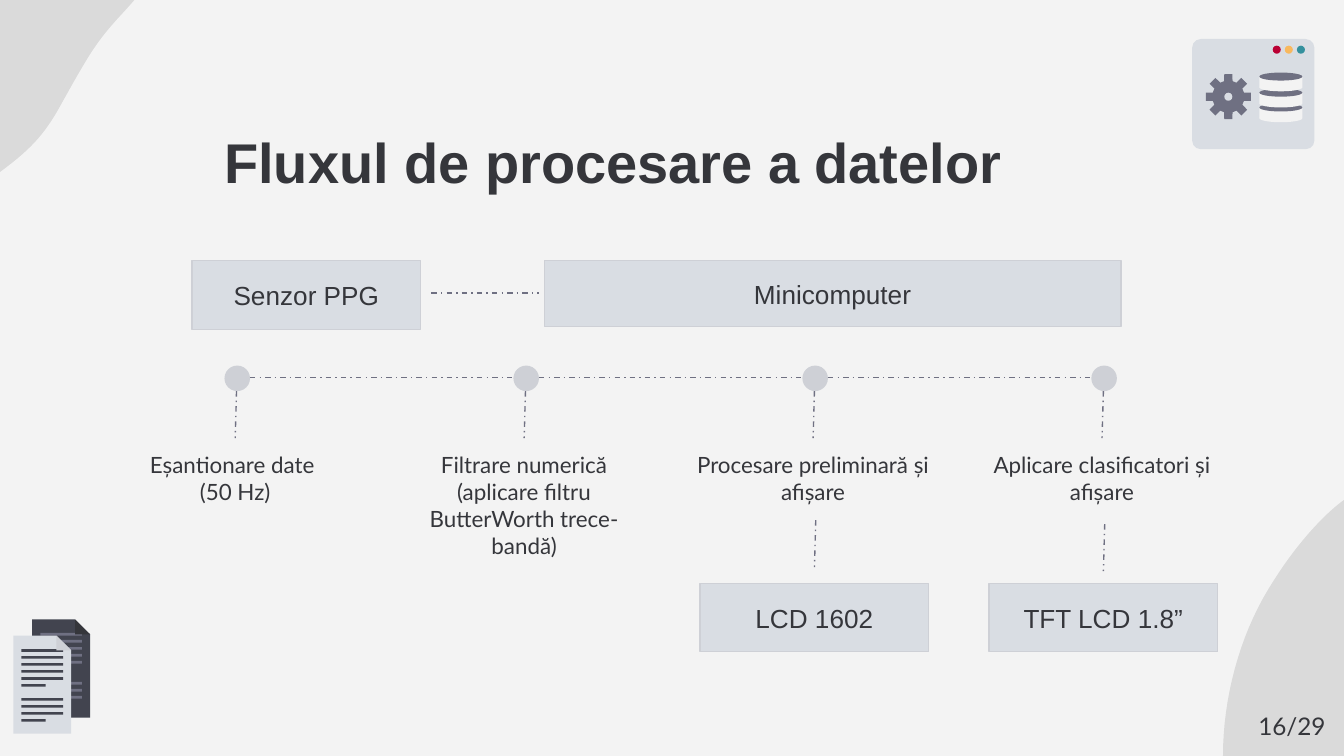
from dataclasses import dataclass
from math import cos, pi, sin

from lxml.etree import SubElement
from pptx import Presentation
from pptx.dml.color import RGBColor
from pptx.enum.dml import MSO_LINE
from pptx.enum.shapes import MSO_CONNECTOR, MSO_SHAPE
from pptx.enum.text import MSO_ANCHOR, PP_ALIGN
from pptx.oxml.ns import qn
from pptx.util import Inches, Pt

WIDE = 10
HIGH = WIDE * 9 / 16


@dataclass(frozen=True)
class Theme:
    back: str = "F3F3F3"
    ink: str = "35363B"
    dark: str = "42444F"
    grey: str = "6F7082"
    pale: str = "D9DDE3"
    edge: str = "CED0D6"
    black: str = "000000"
    dots: tuple = ("BA0034", "F8B85E", "34909D")
    head: str = "Arial"
    body: str = "Lato"
    title: int = 30
    label: int = 14
    note: int = 12
    page: int = 13
    line: float = 0.75


T = Theme()
ALIGN = {"l": PP_ALIGN.LEFT, "c": PP_ALIGN.CENTER, "r": PP_ALIGN.RIGHT}


def rgb(code):
    return RGBColor.from_string(code)


def write(shape, text, font=T.body, size=T.note, bold=False, align="c",
          pad=0.1, anchor=MSO_ANCHOR.TOP):
    frame = shape.text_frame
    frame.word_wrap = True
    frame.vertical_anchor = anchor
    frame.margin_left = frame.margin_right = Inches(0.1)
    frame.margin_top = frame.margin_bottom = Inches(pad)
    for i, part in enumerate(text.split("\n")):
        para = frame.paragraphs[0] if i == 0 else frame.add_paragraph()
        para.alignment = ALIGN[align]
        run = para.add_run()
        run.text = part
        run.font.name, run.font.size, run.font.bold = font, Pt(size), bold
        run.font.color.rgb = rgb(T.ink)


def paint(shape, fill, line=None):
    shape.shadow.inherit = False
    shape.fill.solid()
    shape.fill.fore_color.rgb = rgb(fill)
    if line:
        shape.line.color.rgb = rgb(line)
        shape.line.width = Pt(T.line)
    else:
        shape.line.fill.background()
    return shape


def note(slide, box, text, **form):
    write(slide.shapes.add_textbox(*map(Inches, box)), text, **form)


def block(slide, kind, box, fill, line=None):
    return paint(slide.shapes.add_shape(kind, *map(Inches, box)), fill, line)


def label(slide, box, text):
    shape = block(slide, MSO_SHAPE.RECTANGLE, box, T.pale, T.edge)
    write(shape, text, font=T.head, size=T.label, pad=0.05,
          anchor=MSO_ANCHOR.MIDDLE)


def link(slide, x1, y1, x2, y2):
    line = slide.shapes.add_connector(
        MSO_CONNECTOR.STRAIGHT, *map(Inches, (x1, y1, x2, y2)))
    line.line.color.rgb = rgb(T.grey)
    line.line.width = Pt(T.line)
    line.line.dash_style = MSO_LINE.DASH_DOT
    SubElement(line._element.spPr, qn("a:effectLst"))


def outline(slide, points, fill):
    first, *rest = [(Inches(x), Inches(y)) for x, y in points]
    maker = slide.shapes.build_freeform(*first)
    maker.add_line_segments(rest)
    return paint(maker.convert_to_shape(), fill)


def curve(a, b, c, d, steps=16):
    """Points on a cubic curve from a to d."""
    for i in range(steps + 1):
        t = i / steps
        u = 1 - t
        mix = (u**3, 3 * u * u * t, 3 * u * t * t, t**3)
        yield tuple(sum(m * p[k] for m, p in zip(mix, (a, b, c, d)))
                    for k in (0, 1))


def corner(slide, tip, *curves):
    points = [tip] + [p for four in curves for p in curve(*four)]
    shape = outline(slide, points, T.black)
    color = shape.fill._xPr.find(qn("a:solidFill"))[0]
    SubElement(color, qn("a:alpha")).set("val", "10000")


def sheet(slide, x, y, fill, fold, ink, rows):
    wide, high, cut, step = 0.43, 0.73, 0.11, 0.052
    right = x + wide
    outline(slide, [(x, y), (right - cut, y), (right, y + cut),
                    (right, y + high), (x, y + high)], fill)
    for row in rows:
        long = 0.18 if row in (5, 10) else 0.31
        block(slide, MSO_SHAPE.RECTANGLE,
              (x + 0.06, y + 0.1 + row * step, long, 0.02), ink)
    outline(slide, [(right - cut, y), (right, y + cut),
                    (right - cut, y + cut)], fold)


def gear(slide, x, y):
    points = []
    for tooth in range(8):
        mid = tooth * pi / 4
        for r, turn in ((0.12, -0.26), (0.17, -0.18),
                        (0.17, 0.18), (0.12, 0.26)):
            points.append((x + r * cos(mid + turn), y + r * sin(mid + turn)))
    outline(slide, points, T.grey)
    block(slide, MSO_SHAPE.OVAL, (x - 0.03, y - 0.03, 0.06, 0.06), T.pale)


def window(slide):
    pane = block(slide, MSO_SHAPE.ROUNDED_RECTANGLE,
                 (8.87, 0.29, 0.91, 0.82), T.pale)
    pane.adjustments[0] = 0.08
    for i, color in enumerate(T.dots):
        block(slide, MSO_SHAPE.OVAL,
              (9.47 + i * 0.09, 0.34, 0.06, 0.06), color)
    gear(slide, 9.14, 0.72)
    # Stacked disks, lowest first
    for y in (0.8, 0.69, 0.57):
        block(slide, MSO_SHAPE.RECTANGLE, (9.37, y, 0.32, 0.08), T.back)
        for top, fill in ((y + 0.05, T.back), (y - 0.03, T.grey)):
            block(slide, MSO_SHAPE.OVAL, (9.37, top, 0.32, 0.06), fill)


def decor(slide):
    corner(slide, (WIDE, HIGH),
           ((9.1, HIGH), (9.1, 5.2), (9.22, 4.74), (9.44, 4.38)),
           ((9.44, 4.38), (9.64, 4.05), (9.85, 3.83), (WIDE, 3.72)))
    corner(slide, (0, 0),
           ((1, 0), (0.9, 0.12), (0.77, 0.23), (0.63, 0.47)),
           ((0.63, 0.47), (0.57, 0.57), (0.52, 0.66), (0.47, 0.75)),
           ((0.47, 0.75), (0.35, 0.97), (0.26, 1.09), (0, 1.28)))
    sheet(slide, 0.24, 4.61, T.dark, T.ink, T.grey, (0, 1, 2, 3, 4, 7, 8, 9))
    sheet(slide, 0.1, 4.73, T.pale, T.edge, T.dark,
          (0, 1, 2, 3, 4, 5, 7, 8, 9, 10))
    window(slide)


def flow(slide):
    steps = (("Eșantionare date \n(50 Hz)", 0.88),
             ("Filtrare numerică (aplicare filtru ButterWorth trece-bandă)",
              0.88),
             ("Procesare preliminară și afișare", 0.58),
             ("Aplicare clasificatori și afișare", 0.61))
    first, gap, y, r = 1.76, 2.15, 2.81, 0.1
    for i, (text, high) in enumerate(steps):
        x = first + i * gap
        block(slide, MSO_SHAPE.OVAL, (x - 0.09, y - 0.09, 0.19, 0.19), T.edge)
        note(slide, (x - 1.01, 3.26, 2, high), text)
        link(slide, x, y + r, x - 0.01, 3.26)
        if i < len(steps) - 1:
            link(slide, x + r, y, x + gap - r, y)
    # Devices above the steps
    label(slide, (1.43, 1.94, 1.7, 0.51), "Senzor PPG")
    label(slide, (4.05, 1.94, 4.29, 0.49), "Minicomputer")
    link(slide, 3.21, 2.18, 4.01, 2.18)
    # Displays below the last two steps
    for i, text, top in ((2, "LCD 1602", 3.87), (3, "TFT LCD 1.8”", 3.9)):
        x = first + i * gap
        label(slide, (x - 0.85, 4.34, 1.7, 0.51), text)
        link(slide, x + 0.01, top, x, top + 0.35)


def main():
    deck = Presentation()
    deck.slide_width, deck.slide_height = Inches(WIDE), Inches(HIGH)
    slide = deck.slides.add_slide(deck.slide_layouts[6])
    slide.background.fill.solid()
    slide.background.fill.fore_color.rgb = rgb(T.back)
    # Corners and icons
    decor(slide)
    # Title, flow and page number
    note(slide, (1.57, 0.85, 6.73, 0.63), "Fluxul de procesare a datelor",
         font=T.head, size=T.title, bold=True, align="l")
    flow(slide)
    note(slide, (9.2, 5.19, 0.76, 0.43), "16/29", size=T.page, align="r")
    deck.save("out.pptx")


if __name__ == "__main__":
    main()
